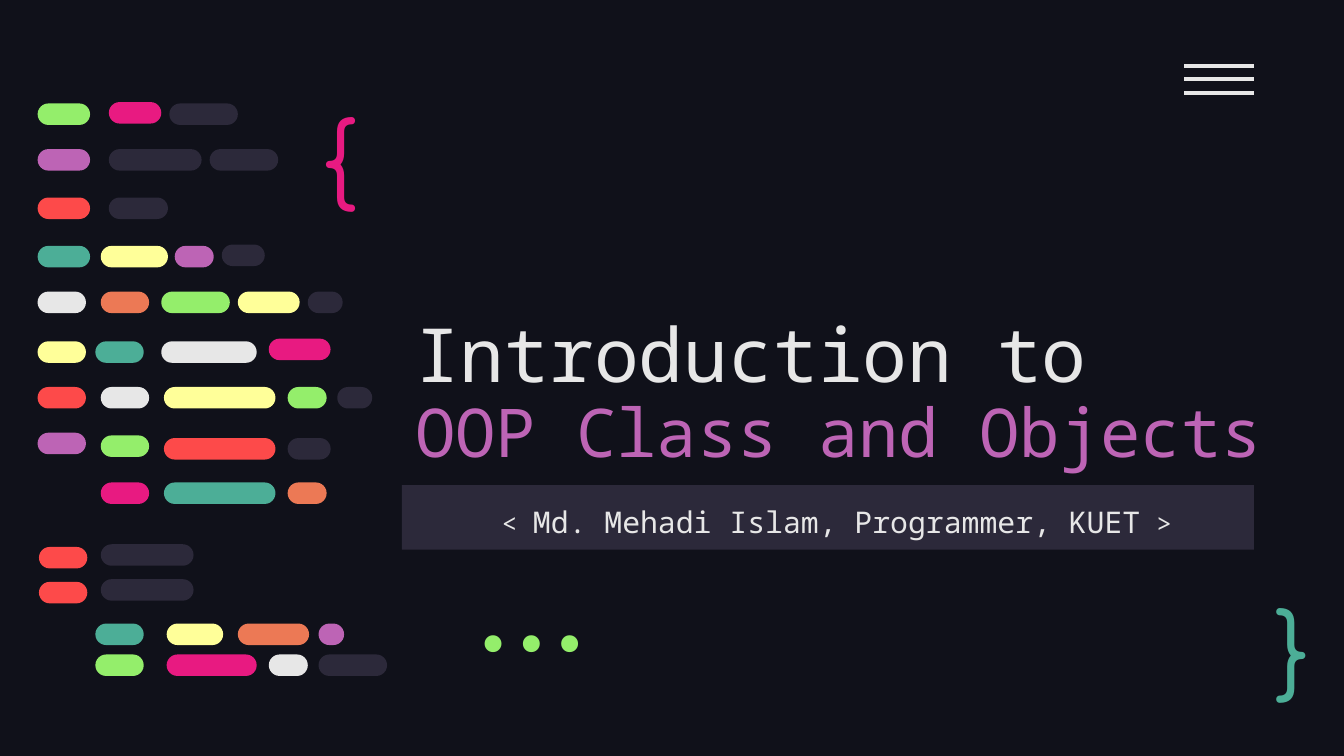
"""Build the title slide of a talk on object-oriented programming."""
from pptx import Presentation
from pptx.dml.color import RGBColor
from pptx.enum.shapes import MSO_CONNECTOR, MSO_SHAPE
from pptx.enum.text import MSO_ANCHOR, PP_ALIGN
from pptx.oxml.ns import qn
from pptx.util import Inches, Pt
from lxml import etree

RECT, PILL = MSO_SHAPE.RECTANGLE, MSO_SHAPE.ROUNDED_RECTANGLE
STRAIGHT = MSO_CONNECTOR.STRAIGHT
TOP, MIDDLE, BOTTOM = MSO_ANCHOR.TOP, MSO_ANCHOR.MIDDLE, MSO_ANCHOR.BOTTOM
LEFT, CENTER, RIGHT = PP_ALIGN.LEFT, PP_ALIGN.CENTER, PP_ALIGN.RIGHT

NIGHT, SLATE, WHITE = "10111A", "2C293A", "E7E7E7"
GREEN, PINK, PURPLE, RED = "94EE6B", "E81A81", "BD64B5", "FD4A4A"
TEAL, YELLOW, ORANGE = "4CAE97", "FFFF99", "EC7955"
MONO = "Noto Sans Mono"

deck = Presentation()
deck.slide_width = Inches(10)
deck.slide_height = deck.slide_width * 9 // 16
CELL = deck.slide_width / 100
slide = deck.slides.add_slide(deck.slide_layouts[6])


def paint(fill, color):
    fill.solid()
    fill.fore_color.rgb = RGBColor.from_string(color)


def write(shape, anchor, align, font, paragraphs, spacing=1.0):
    frame = shape.text_frame
    frame.word_wrap = True
    frame.vertical_anchor = anchor
    frame.margin_left = frame.margin_right = Inches(0.1)
    frame.margin_top = frame.margin_bottom = Inches(0.1)
    for i, pieces in enumerate(paragraphs):
        paragraph = frame.add_paragraph() if i else frame.paragraphs[0]
        paragraph.alignment, paragraph.line_spacing = align, spacing
        for text, size, color in pieces:
            run = paragraph.add_run()
            run.text = text
            run.font.name, run.font.size = font, Pt(size)
            paint(run.font.fill, color)


paint(slide.background.fill, NIGHT)

title = slide.shapes.add_textbox(*[int(n * CELL) for n in (29.9, 13.8, 68.6, 22.3)])
write(title, BOTTOM, LEFT, MONO,
      [[("Introduction to", 40, WHITE)], [("OOP Class and Objects", 36, PURPLE)]], 0.9)

speaker = slide.shapes.add_shape(RECT, *[int(n * CELL) for n in (29.9, 36.1, 63.4, 4.8)])
speaker.shadow.inherit = False
paint(speaker.fill, SLATE)
speaker.line.fill.background()
write(speaker, TOP, CENTER, MONO,
      [[(" ", 16, WHITE), ("< ", 14, WHITE),
        ("Md. Mehadi Islam, Programmer, KUET", 16, WHITE), (" >", 14, WHITE)]], 1.15)

for place, anchor, align, font, symbol, color in [
    ((22.95, 6.2, 7.7, 9.5), TOP, LEFT, "Comfortaa", "{", PINK),
    ((93.9, 43.8, 5.7, 8.3), MIDDLE, LEFT, "Comfortaa", "}", TEAL),
    ((31.15, 44.9, 15.8, 6), BOTTOM, RIGHT, "Fira Code", "...", GREEN),
]:
    ornament = slide.shapes.add_textbox(*[int(n * CELL) for n in place])
    write(ornament, anchor, align, font, [[(symbol, 50, color)]])

menu = slide.shapes.add_group_shape()
for step in range(3):
    height = int((4.9 + step) * CELL)
    stroke = menu.shapes.add_connector(
        STRAIGHT, int(88.1 * CELL), height, int(93.3 * CELL), height)
    paint(stroke.line.fill, WHITE)
    stroke.line.width = Pt(2.25)
    etree.SubElement(stroke._element.spPr, qn("a:effectLst"))

code_lines = [
    (7.7, [(2.8, 3.9, GREEN), (12.6, 5.1, SLATE)]),
    (7.6, [(8.1, 3.9, PINK)]),
    (11.1, [(2.8, 3.9, PURPLE), (8.1, 6.9, SLATE), (15.6, 5.1, SLATE)]),
    (14.7, [(2.8, 3.9, RED), (8.1, 4.4, SLATE)]),
    (18.3, [(2.8, 3.9, TEAL), (7.5, 5, YELLOW), (13, 2.9, PURPLE)]),
    (18.2, [(16.5, 3.2, SLATE)]),
    (21.7, [(2.8, 3.6, WHITE), (7.5, 3.6, ORANGE), (12, 5.1, GREEN),
            (17.7, 4.6, YELLOW), (22.9, 2.6, SLATE)]),
    (25.4, [(2.8, 3.6, YELLOW), (7.1, 3.6, TEAL), (12, 7.1, WHITE)]),
    (25.2, [(20, 4.6, PINK)]),
    (28.8, [(2.8, 3.6, RED), (7.5, 3.6, WHITE), (12.2, 8.3, YELLOW),
            (21.4, 2.9, GREEN), (25.1, 2.6, SLATE)]),
    (32.2, [(2.8, 3.6, PURPLE)]),
    (32.4, [(7.5, 3.6, GREEN)]),
    (32.6, [(12.2, 8.3, RED), (21.4, 3.2, SLATE)]),
    (35.9, [(7.5, 3.6, PINK), (12.2, 8.3, TEAL), (21.4, 2.9, ORANGE)]),
    (40.7, [(2.9, 3.6, RED)]),
    (40.5, [(7.5, 6.9, SLATE)]),
    (43.3, [(2.9, 3.6, RED)]),
    (43.1, [(7.5, 6.9, SLATE)]),
    (46.4, [(7.1, 3.6, TEAL), (12.4, 4.2, YELLOW), (17.7, 5.3, ORANGE),
            (23.7, 1.9, PURPLE)]),
    (48.7, [(7.1, 3.6, GREEN), (12.4, 6.7, PINK), (20, 2.9, WHITE),
            (23.7, 5.1, SLATE)]),
]
code = slide.shapes.add_group_shape()
for row, tokens in code_lines:
    for column, length, color in tokens:
        token = code.shapes.add_shape(
            PILL, *[int(n * CELL) for n in (column, row, length, 1.6)])
        token.adjustments[0] = 0.5
        token.shadow.inherit = False
        paint(token.fill, color)
        token.line.fill.background()

deck.save("out.pptx")
